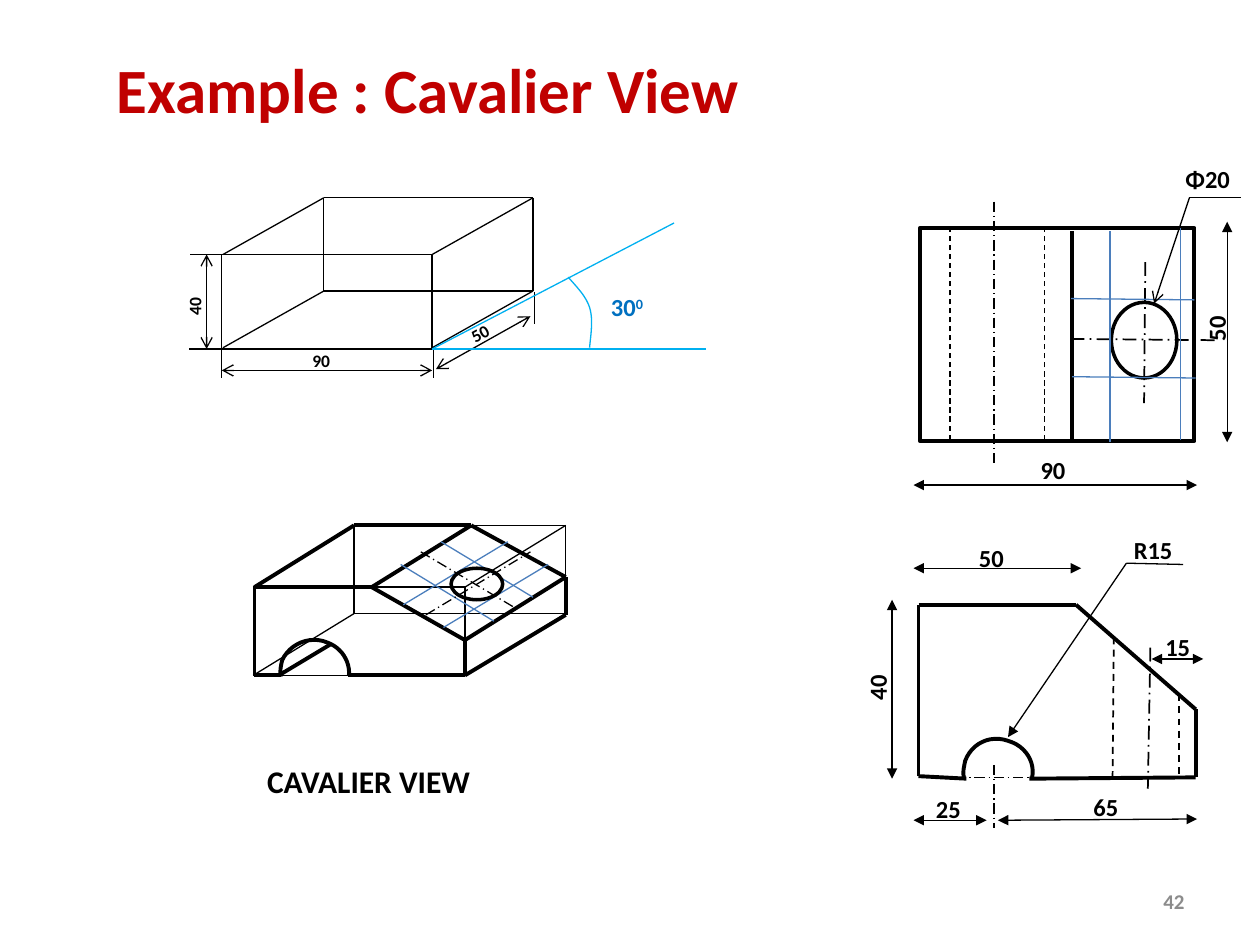
from itertools import pairwise

from lxml.etree import SubElement
from pptx import Presentation
from pptx.dml.color import RGBColor
from pptx.enum.dml import MSO_LINE
from pptx.enum.shapes import MSO_CONNECTOR, MSO_SHAPE
from pptx.enum.text import MSO_ANCHOR, MSO_AUTO_SIZE, PP_ALIGN
from pptx.oxml.ns import qn
from pptx.util import Cm, Pt

BLACK = RGBColor(0x00, 0x00, 0x00)
WHITE = RGBColor(0xFF, 0xFF, 0xFF)
RED = RGBColor(0xC0, 0x00, 0x00)
GREY = RGBColor(0x8C, 0x8C, 0x8C)
BLUE = RGBColor(0x00, 0x70, 0xC0)
SKY = RGBColor(0x00, 0xB0, 0xF0)
STEEL = RGBColor(0x4B, 0x7E, 0xBC)

THIN, MEDIUM, THICK = 0.75, 1, 2.25
DASH, CENTRE = MSO_LINE.DASH, MSO_LINE.LONG_DASH_DOT
CM_PER_INCH = 2.54


def length(inches):
    return Cm(inches * CM_PER_INCH)


def bezier(start, control_1, control_2, end, steps=12):
    """Return the points of a cubic curve, without its start."""
    points = []
    for step in range(1, steps + 1):
        t = step / steps
        weights = ((1 - t) ** 3, 3 * t * (1 - t) ** 2, 3 * t * t * (1 - t), t ** 3)
        corners = (start, control_1, control_2, end)
        points.append(tuple(sum(w * c[axis] for w, c in zip(weights, corners))
                            for axis in (0, 1)))
    return points


class Drawing:
    """A slide with the line and text style of a technical drawing."""

    font_name = "Calibri"

    def __init__(self, slide):
        self.slide = slide
        self.shapes = slide.shapes

    def style_line(self, shape, width, color, dash=None):
        shape.line.color.rgb = color
        shape.line.width = Pt(width)
        if dash is not None:
            shape.line.dash_style = dash

    def line(self, start, end, width=THIN, color=BLACK, dash=None, head=None, tail=None):
        connector = self.shapes.add_connector(
            MSO_CONNECTOR.STRAIGHT, *map(length, start + end))
        self.style_line(connector, width, color, dash)
        outline = connector.line._get_or_add_ln()
        for tag, arrow in (("a:headEnd", head), ("a:tailEnd", tail)):
            if arrow:
                SubElement(outline, qn(tag), type=arrow)
        SubElement(connector._element.spPr, qn("a:effectLst"))

    def lines(self, segments, **line_format):
        for x1, y1, x2, y2 in segments:
            self.line((x1, y1), (x2, y2), **line_format)

    def edges(self, *points, **line_format):
        for start, end in pairwise(points):
            self.line(start, end, **line_format)

    def shape(self, kind, left, top, width, height, line_width, fill=None):
        shape = self.shapes.add_shape(kind, *map(length, (left, top, width, height)))
        shape.shadow.inherit = False
        if fill is None:
            shape.fill.background()
        else:
            shape.fill.solid()
            shape.fill.fore_color.rgb = fill
        self.style_line(shape, line_width, BLACK)

    def curve(self, start, *pieces, width=THICK, color=BLACK):
        """Draw an open curve; each piece is two control points and an end."""
        points = [start]
        for piece in pieces:
            points += bezier(points[-1], *piece)
        builder = self.shapes.build_freeform(
            *(length(value) for value in start), scale=1.0)
        builder.add_line_segments(
            [(length(x), length(y)) for x, y in points[1:]], close=False)
        shape = builder.convert_to_shape()
        shape.shadow.inherit = False
        shape.fill.background()
        self.style_line(shape, width, color)

    def text(self, text, left, top, width=0.42, height=0.33, size=14, color=BLACK,
             align=None, anchor=None, rotation=0, wrap=False, superscript=None):
        box = self.shapes.add_textbox(*map(length, (left, top, width, height)))
        box.rotation = rotation
        frame = box.text_frame
        frame.word_wrap = wrap
        frame.auto_size = MSO_AUTO_SIZE.NONE if anchor else MSO_AUTO_SIZE.SHAPE_TO_FIT_TEXT
        frame.vertical_anchor = anchor
        paragraph = frame.paragraphs[0]
        paragraph.alignment = align
        for part in filter(None, (text, superscript)):
            run = paragraph.add_run()
            run.text = part
            run.font.name = self.font_name
            run.font.size = Pt(size)
            run.font.bold = True
            run.font.color.rgb = color
            if part is superscript:
                run._r.get_or_add_rPr().set("baseline", "30000")

    def dimension(self, start, end, label, left, top, arrow="triangle",
                  line_width=THIN, **text_format):
        self.line(start, end, width=line_width, head=arrow, tail=arrow)
        self.text(label, left, top, **text_format)

    def receding_edges(self, corners, depth):
        """Draw the back face and the edges that join it to the front corners."""
        back = [(x + depth[0], y + depth[1]) for x, y in corners]
        self.edges(*back, back[0])
        for front_corner, back_corner in zip(corners, back):
            self.line(front_corner, back_corner)


def corners_of(left, top, right, bottom):
    return [(left, top), (right, top), (right, bottom), (left, bottom)]


def draw_cavalier_view(drawing):
    front = corners_of(2.01, 4.66, 3.69, 5.36)
    drawing.receding_edges(front, (0.8, -0.49))
    drawing.edges(*front, front[0])
    drawing.edges((2.23, 5.36), (2.02, 5.36), (2.02, 4.66), (2.81, 4.17), (3.74, 4.17),
                  (4.49, 4.58), (4.49, 4.88), (3.69, 5.36), (2.76, 5.36), width=THICK)
    drawing.edges((2.02, 4.66), (2.95, 4.66), (3.69, 5.08), (3.69, 5.36), width=THICK)
    drawing.lines([(2.95, 4.66, 3.74, 4.17), (3.69, 5.08, 4.49, 4.58),
                   (2.23, 5.35, 2.63, 5.11)], width=THICK)
    drawing.curve((2.23, 5.37), ((2.22, 5.33), (2.23, 5.28), (2.24, 5.24)),
                  ((2.3, 5.11), (2.46, 5.04), (2.6, 5.1)),
                  ((2.71, 5.14), (2.78, 5.25), (2.77, 5.36)))
    drawing.lines([(3.52, 4.98, 4.35, 4.48), (3.2, 4.8, 4.03, 4.3),
                   (3.18, 4.48, 3.92, 4.93), (3.5, 4.3, 4.23, 4.74)], color=STEEL)
    drawing.lines([(3.34, 4.38, 4.08, 4.82), (3.38, 4.88, 4.21, 4.38)], dash=CENTRE)
    drawing.shape(MSO_SHAPE.OVAL, 3.58, 4.51, 0.41, 0.25, 2)
    drawing.text("CAVALIER VIEW", 1.83, 6, 2.19, 0.4, size=18,
                 align=PP_ALIGN.CENTER, wrap=True)


def draw_bounding_box(drawing):
    drawing.shape(MSO_SHAPE.RECTANGLE, 1.76, 2.02, 1.67, 0.75, THIN)
    drawing.receding_edges(corners_of(1.77, 2.02, 3.43, 2.76), (0.8, -0.45))
    drawing.lines([(3.44, 2.75, 3.44, 3), (1.76, 2.75, 1.76, 3), (4.24, 2.32, 4.24, 2.57),
                   (1.76, 2.02, 1.51, 2.02), (1.75, 2.77, 1.5, 2.77)])
    small = {"width": 0.35, "height": 0.27, "size": 10, "arrow": "arrow"}
    drawing.dimension((3.43, 2.94), (1.76, 2.94), "90", 2.38, 2.73, **small)
    drawing.dimension((3.46, 2.93), (4.21, 2.51), "50", 3.64, 2.51, rotation=331.4, **small)
    drawing.dimension((1.64, 2.77), (1.64, 2.02), "40", 1.37, 2.29, rotation=270, **small)
    drawing.lines([(3.43, 2.77, 5.35, 1.77), (3.43, 2.77, 5.6, 2.77)], color=SKY)
    drawing.curve((4.51, 2.2), ((4.58, 2.28), (4.65, 2.35), (4.68, 2.44)),
                  ((4.71, 2.54), (4.69, 2.65), (4.68, 2.76)), width=THIN, color=SKY)
    drawing.text("30", 4.75, 2.27, 0.49, color=BLUE, superscript="0")


def draw_top_view(drawing):
    drawing.shape(MSO_SHAPE.RECTANGLE, 7.3, 1.81, 2.18, 1.69, THICK)
    drawing.lines([(x, 3.49, x, 1.81) for x in (7.54, 8.29)], dash=DASH)
    drawing.line((8.51, 3.51), (8.51, 1.83), width=THICK)
    drawing.line((7.89, 1.6), (7.89, 3.7), dash=CENTRE)
    drawing.dimension((7.25, 3.85), (9.5, 3.85), "90", 8.16, 3.56, line_width=1.5)
    drawing.dimension((9.74, 1.76), (9.74, 3.51), "50", 9.44, 2.43, rotation=270)
    drawing.shape(MSO_SHAPE.OVAL, 8.82, 2.4, 0.52, 0.6, 2, fill=WHITE)
    drawing.lines([(9.09, 2.08, 9.08, 3.2), (9.64, 2.7, 8.52, 2.69)],
                  width=MEDIUM, dash=CENTRE)
    drawing.lines([(8.81, 3.51, 8.81, 1.83), (9.37, 3.49, 9.37, 1.81),
                   (8.5, 2.37, 9.48, 2.38), (8.51, 2.99, 9.49, 3)], color=STEEL)
    drawing.line((9.44, 1.57), (9.16, 2.41), tail="arrow")
    drawing.line((9.44, 1.57), (9.85, 1.57))
    drawing.text("Φ20", 9.31, 1.25, 0.56, 0.35, wrap=True)


def draw_front_view(drawing):
    drawing.edges((7.67, 6.18), (7.29, 6.16), (7.29, 4.8), (8.54, 4.8), (9.49, 5.63),
                  (9.49, 6.17), (8.17, 6.18), width=THICK)
    drawing.lines([(7.58, 6.17, 8.24, 6.17), (7.89, 6.07, 7.89, 6.57)], dash=CENTRE)
    drawing.curve((7.65, 6.17), ((7.64, 6.13), (7.65, 6.09), (7.66, 6.04)),
                  ((7.71, 5.9), (7.86, 5.83), (8, 5.88)),
                  ((8.14, 5.92), (8.22, 6.05), (8.19, 6.18)))
    drawing.dimension((7.92, 6.51), (9.5, 6.5), "65", 8.58, 6.24)
    drawing.dimension((7.25, 4.51), (8.58, 4.51), "50", 7.67, 4.26)
    drawing.dimension((7.08, 4.76), (7.08, 6.18), "40", 6.75, 5.28, rotation=270)
    drawing.dimension((7.25, 6.51), (7.83, 6.51), "25", 7.33, 6.25)
    drawing.dimension((9.14, 5.23), (9.55, 5.23), "15", 9.15, 4.97)
    drawing.lines([(8.84, 5.06, 8.83, 6.18), (9.36, 5.51, 9.36, 6.16)],
                  width=MEDIUM, dash=DASH)
    drawing.line((9.13, 5.14), (9.11, 6.26), width=MEDIUM, dash=CENTRE)
    drawing.line((8.94, 4.47), (8, 5.85), tail="triangle")
    drawing.line((8.94, 4.47), (9.39, 4.48))
    drawing.text("R15", 8.9, 4.2, 0.51, 0.34)


def main():
    presentation = Presentation()
    presentation.slide_width, presentation.slide_height = Cm(25.4), Cm(19.05)
    drawing = Drawing(presentation.slides.add_slide(presentation.slide_layouts[6]))
    draw_cavalier_view(drawing)
    draw_bounding_box(drawing)
    draw_front_view(drawing)
    draw_top_view(drawing)
    drawing.text("Example : Cavalier View", 0.83, 0.24, 6.83, 0.93, size=36, color=RED,
                 align=PP_ALIGN.JUSTIFY, anchor=MSO_ANCHOR.MIDDLE, wrap=True)
    drawing.text("42", 7.17, 6.95, 2.33, 0.4, size=12, color=GREY,
                 align=PP_ALIGN.RIGHT, anchor=MSO_ANCHOR.MIDDLE, wrap=True)
    presentation.save("out.pptx")


if __name__ == "__main__":
    main()
